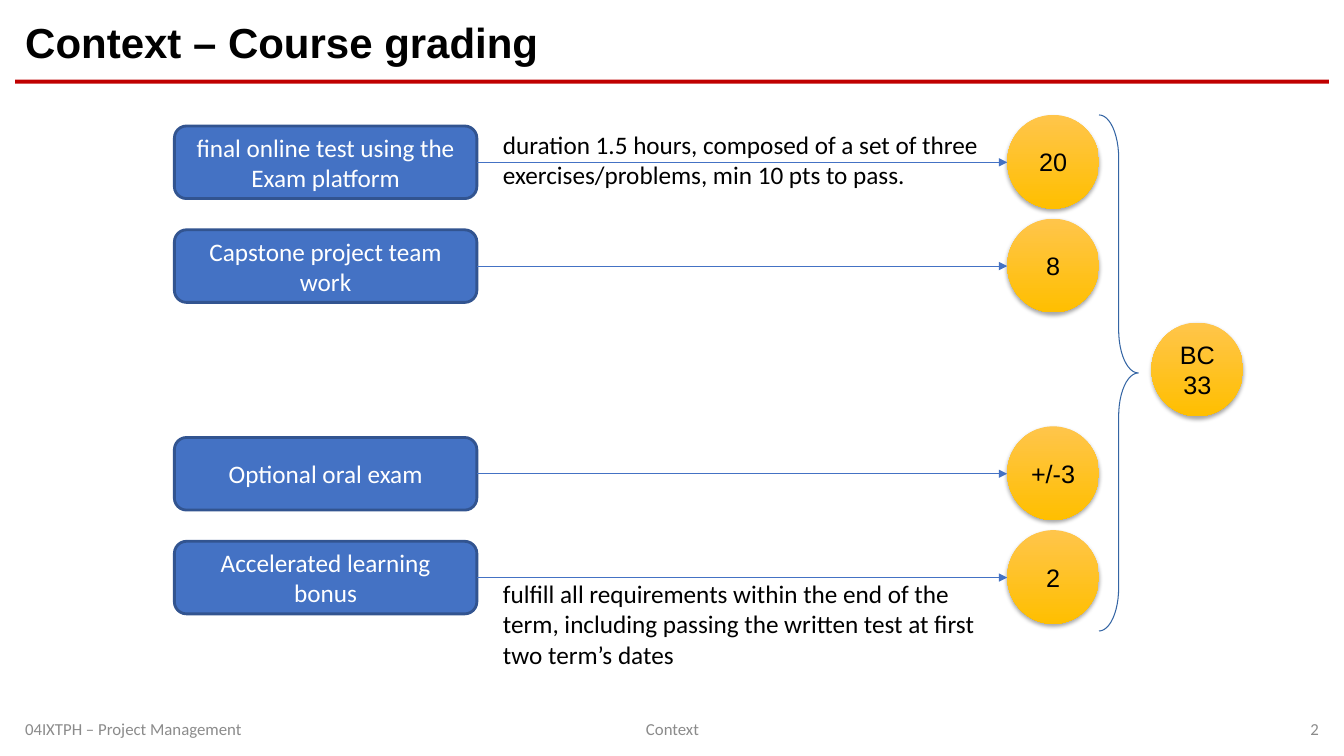
from lxml import etree
from pptx import Presentation
from pptx.dml.color import RGBColor
from pptx.enum.shapes import MSO_CONNECTOR, MSO_SHAPE as Shape
from pptx.enum.text import MSO_ANCHOR as Anchor, PP_ALIGN as Align
from pptx.oxml import parse_xml
from pptx.oxml.ns import nsdecls, qn
from pptx.util import Inches, Pt

BLACK = RGBColor(0x00, 0x00, 0x00)
WHITE = RGBColor(0xFF, 0xFF, 0xFF)
GREY = RGBColor(0x8B, 0x8B, 0x8B)
RED = RGBColor(0xC0, 0x00, 0x00)
BLUE = RGBColor(0x44, 0x72, 0xC4)
DARK_BLUE = RGBColor(0x32, 0x54, 0x90)
BRACE_BLUE = RGBColor(0x34, 0x65, 0xA4)
LIGHT_GOLD = RGBColor(0xFF, 0xC5, 0x4B)
GOLD = RGBColor(0xFF, 0xBF, 0x00)

TITLE = "Context – Course grading"
GRADES = [
    (0, "final online test using the Exam platform", "20"),
    (1, "Capstone project team work", "8"),
    (3, "Optional oral exam", "+/-3"),
    (4, "Accelerated learning bonus", "2"),
]
TOTAL = (2, "BC\n33")
NOTES = [
    (1.23, "duration 1.5 hours, composed of a set of three exercises/problems, min 10 pts to pass."),
    (5.69, "fulfill all requirements within the end of the term, including passing "
           "the written test at first two term’s dates"),
]
FOOTERS = [
    (0.15, 3, Align.LEFT, "04IXTPH – Project Management"),
    (4.42, 4.5, Align.CENTER, "Context"),
    (10.18, 3, Align.RIGHT, "2"),
]

ROW_PITCH = 1.03
BOX_LEFT, BOX_TOP, BOX_WIDTH, BOX_HEIGHT = 1.73, 1.25, 3, 0.72
POINTS_LEFT, POINTS_TOP, POINTS_WIDTH, POINTS_HEIGHT = 9.99, 1.14, 0.91, 0.93
TOTAL_LEFT = 11.42


def place(left, top, width, height):
    return [Inches(value) for value in (left, top, width, height)]


def write(shape, text, size=18, font="Calibri", color=BLACK, bold=False,
          align=Align.LEFT, anchor=Anchor.MIDDLE, inset=0.1, spacing=None):
    frame = shape.text_frame
    frame.word_wrap = True
    frame.vertical_anchor = anchor
    frame.margin_left = frame.margin_right = Inches(inset)
    frame.margin_top = frame.margin_bottom = Inches(inset / 2)
    frame.text = text
    for para in frame.paragraphs:
        para.alignment = align
        para.line_spacing = spacing
        for span in para.runs:
            span.font.size = Pt(size)
            span.font.name = font
            span.font.bold = bold
            span.font.color.rgb = color


def add_shape(kind, *area):
    shape = page.shapes.add_shape(kind, *place(*area))
    shape.shadow.inherit = False
    return shape


def add_points(left, row, text):
    circle = add_shape(Shape.FLOWCHART_CONNECTOR, left, POINTS_TOP + row * ROW_PITCH,
                       POINTS_WIDTH, POINTS_HEIGHT)
    circle.fill.gradient()
    circle.fill.gradient_angle = 270
    for stop, position, color in zip(circle.fill.gradient_stops, (0, 1), (LIGHT_GOLD, GOLD)):
        stop.position = position
        stop.color.rgb = color
    circle.line.fill.background()
    effects = circle._element.spPr.find(qn("a:effectLst"))
    effects.append(parse_xml(
        f'<a:outerShdw {nsdecls("a")} blurRad="{Pt(3.1)}" dist="{Pt(1.8)}" dir="5400000" '
        'rotWithShape="0"><a:srgbClr val="000000"><a:alpha val="35000"/></a:srgbClr></a:outerShdw>'))
    write(circle, text, font="Arial", align=Align.CENTER, inset=0)


def add_arrow(start, end, y):
    arrow = page.shapes.add_connector(MSO_CONNECTOR.STRAIGHT, Inches(start), Inches(y),
                                      Inches(end), Inches(y))
    arrow.line.color.rgb = BLUE
    arrow.line.width = Pt(0.75)
    etree.SubElement(arrow.line._get_or_add_ln(), qn("a:tailEnd"), type="triangle")
    etree.SubElement(arrow._element.spPr, qn("a:effectLst"))


deck = Presentation()
deck.slide_width, deck.slide_height = Inches(13.33), Inches(7.5)
page = deck.slides.add_slide(deck.slide_layouts[5])

rule = add_shape(Shape.RECTANGLE, 0.15, 0.79, 13.03, 0.04)
rule.fill.solid()
rule.fill.fore_color.rgb = RED
rule.line.fill.background()

title = page.shapes.title
title.left, title.top, title.width, title.height = place(0.15, 0.15, 13.03, 0.59)
write(title, TITLE, size=30, font="Arial", bold=True, spacing=0.9)

for left, width, align, text in FOOTERS:
    footer = page.shapes.add_textbox(*place(left, 7.1, width, 0.25))
    write(footer, text, size=12, color=GREY, align=align)

for row, name, points in GRADES:
    top = BOX_TOP + row * ROW_PITCH
    box = add_shape(Shape.ROUNDED_RECTANGLE, BOX_LEFT, top, BOX_WIDTH, BOX_HEIGHT)
    box.fill.solid()
    box.fill.fore_color.rgb = BLUE
    box.line.color.rgb = DARK_BLUE
    box.line.width = Pt(2)
    write(box, name, color=WHITE, align=Align.CENTER)
    add_points(POINTS_LEFT, row, points)
    add_arrow(BOX_LEFT + BOX_WIDTH, POINTS_LEFT, top + BOX_HEIGHT / 2)

for top, text in NOTES:
    note = page.shapes.add_textbox(*place(4.89, top, 4.94, 1))
    write(note, text, anchor=Anchor.TOP)

brace = add_shape(Shape.RIGHT_BRACE, POINTS_LEFT + POINTS_WIDTH, POINTS_TOP, 0.39, 5.12)
brace.adjustments[0] = 1.1
brace.fill.background()
brace.line.color.rgb = BRACE_BLUE
brace.line.width = Pt(0)

add_points(TOTAL_LEFT, *TOTAL)

deck.save("out.pptx")
